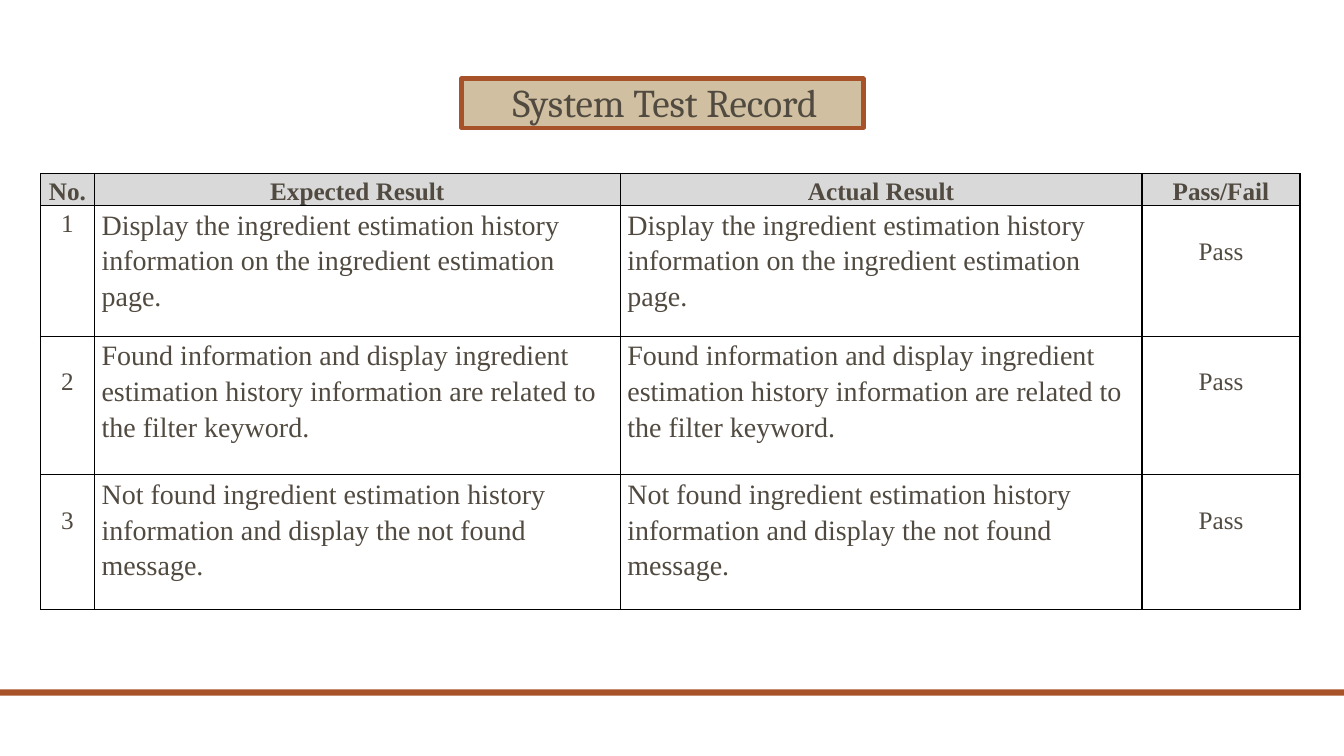
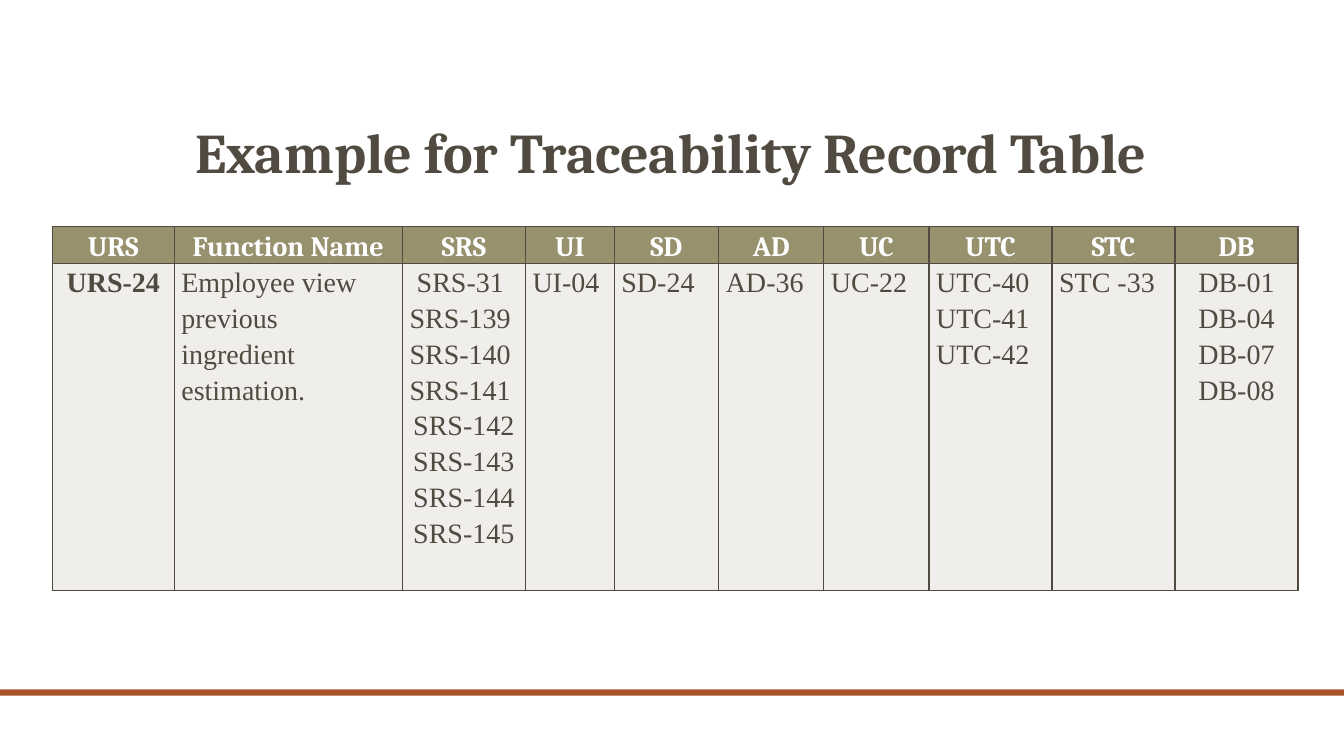
from dataclasses import dataclass

from lxml.etree import SubElement as Sub
from pptx import Presentation as Deck
from pptx.dml.color import RGBColor as Rgb
from pptx.enum.shapes import MSO_SHAPE as Kind
from pptx.enum.text import MSO_ANCHOR as Anchor, PP_ALIGN as Align
from pptx.oxml.ns import qn
from pptx.slide import Slide
from pptx.util import Cm, Pt


@dataclass(frozen=True)
class Theme:
    ink: str = "514A40"
    rust: str = "A85229"
    sand: str = "D0C0A1"
    olive: str = "98916E"
    pale: str = "EFEEEB"
    gray: str = "D9D9D9"
    white: str = "FFFFFF"
    black: str = "000000"
    head: str = "Cambria"
    body: str = "Times New Roman"
    small: int = 18
    text: int = 20
    label: int = 28
    title: int = 40


THEME = Theme()


@dataclass(frozen=True)
class Style:
    size: int = THEME.text
    font: str = THEME.body
    color: str = THEME.ink
    bold: bool = False


@dataclass(frozen=True)
class Box:
    left: float
    top: float
    width: float
    height: float

    def place(self) -> tuple:
        return Cm(self.left), Cm(self.top), Cm(self.width), Cm(self.height)


@dataclass(frozen=True)
class Item:
    lines: tuple[str, ...]
    style: Style = Style()
    aligns: tuple = (Align.LEFT,)
    fill: str | None = None
    drop: float = 0


@dataclass(frozen=True)
class Grid:
    left: float
    top: float
    cols: tuple[float, ...]
    rows: tuple[float, ...]
    edge: str
    items: list[list[Item]]


def write(frame, lines: tuple[str, ...], style: Style, aligns: tuple, gap: float) -> None:
    frame.text = "\n".join(lines)
    for spot, para in enumerate(frame.paragraphs):
        para.alignment = aligns[min(spot, len(aligns) - 1)]
        para.line_spacing = gap
        for run in para.runs:
            run.font.size = Pt(style.size)
            run.font.name = style.font
            run.font.bold = style.bold
            run.font.color.rgb = Rgb.from_string(style.color)


def add_page(deck, title: str, box: Box, style: Style, drop: float) -> Slide:
    page = deck.slides.add_slide(deck.slide_layouts[5])
    shape = page.shapes.title
    shape.left, shape.top, shape.width, shape.height = box.place()
    frame = shape.text_frame
    write(frame, (title,), style, (Align.CENTER,), 0.9)
    frame.vertical_anchor = Anchor.TOP
    frame.margin_left, frame.margin_top = Cm(0.38), Cm(drop)
    return page


def add_band(deck, page: Slide) -> None:
    band = page.shapes.add_shape(Kind.RECTANGLE, 0, Cm(17.37), deck.slide_width, Cm(0.16))
    band.shadow.inherit = False
    band.fill.solid()
    band.fill.fore_color.rgb = Rgb.from_string(THEME.rust)
    band.line.fill.background()
    deck.slide_master.shapes.element.append(band.element)


def add_edge(cell, color: str) -> None:
    props = cell._tc.get_or_add_tcPr()
    for side in ("lnL", "lnR", "lnT", "lnB"):
        line = Sub(props, qn(f"a:{side}"), w=str(Pt(1)))
        Sub(Sub(line, qn("a:solidFill")), qn("a:srgbClr"), val=color)


def add_grid(page: Slide, grid: Grid) -> None:
    box = Box(grid.left, grid.top, sum(grid.cols), sum(grid.rows))
    table = page.shapes.add_table(len(grid.rows), len(grid.cols), *box.place()).table
    table.horz_banding = False
    for col, width in zip(table.columns, grid.cols):
        col.width = Cm(width)
    for row, height, items in zip(table.rows, grid.rows, grid.items):
        row.height = Cm(height)
        for cell, item in zip(row.cells, items):
            cell.margin_left = cell.margin_right = Cm(0.18)
            cell.margin_top, cell.margin_bottom = Cm(item.drop), 0
            write(cell.text_frame, item.lines, item.style, item.aligns, 1.15)
            add_edge(cell, grid.edge)
            if item.fill:
                cell.fill.solid()
                cell.fill.fore_color.rgb = Rgb.from_string(item.fill)
            else:
                cell.fill.background()


def heads(names: tuple[str, ...], style: Style, fill: str) -> list[Item]:
    return [Item((name,), style, (Align.CENTER,), fill) for name in names]


def test_row(num: int, result: str, drop: float) -> list[Item]:
    small, mid = Style(THEME.small), (Align.CENTER,)
    return [
        Item((str(num),), small, mid, drop=drop),
        Item((result,)),
        Item((result,)),
        Item(("Pass",), small, mid, drop=0.71),
    ]


def trace_row() -> list[Item]:
    mid, left = Align.CENTER, Align.LEFT
    cells = (
        (("URS-24",), (mid,)),
        (("Employee view previous ingredient estimation.",), (left,)),
        (
            ("SRS-31 ", "SRS-139", "SRS-140", "SRS-141", "SRS-142", "SRS-143 SRS-144 SRS-145"),
            (mid, left, left, left, mid),
        ),
        (("UI-04",), (left,)),
        (("SD-24",), (left,)),
        (("AD-36",), (left,)),
        (("UC-22",), (left,)),
        (("UTC-40", "UTC-41", "UTC-42"), (left,)),
        (("STC -33",), (left,)),
        (("DB-01", "DB-04", "DB-07", "DB-08"), (mid,)),
    )
    return [
        Item(lines, Style(bold=spot == 0), aligns, THEME.pale)
        for spot, (lines, aligns) in enumerate(cells)
    ]


def test_page(deck) -> Slide:
    style = Style(THEME.label, THEME.head)
    page = add_page(deck, "System Test Record", Box(11.63, 1.98, 10.13, 1.24), style, 0.13)
    title = page.shapes.title
    title.fill.solid()
    title.fill.fore_color.rgb = Rgb.from_string(THEME.sand)
    title.line.color.rgb = Rgb.from_string(THEME.rust)
    title.line.width = Pt(3)
    names = ("No.", "Expected Result", "Actual Result", "Pass/Fail")
    results = (
        "Display the ingredient estimation history information on the ingredient estimation page.",
        "Found information and display ingredient estimation history information are related to the filter keyword.",
        "Not found ingredient estimation history information and display the not found message.",
    )
    items = [heads(names, Style(THEME.small, bold=True), THEME.gray)]
    for num, result in enumerate(results, 1):
        items.append(test_row(num, result, 0 if num == 1 else 0.71))
    cols, rows = (1.36, 13.25, 13.15, 3.98), (0.81, 3.29, 3.49, 3.39)
    add_grid(page, Grid(1.02, 4.37, cols, rows, THEME.black, items))
    return page


def trace_page(deck) -> None:
    style = Style(THEME.title, THEME.head, bold=True)
    box = Box(1.45, 2.92, 30.78, 2.18)
    page = add_page(deck, "Example for Traceability Record Table", box, style, 0.23)
    names = ("URS", "Function Name", "SRS", "UI", "SD", "AD", "UC", "UTC", "STC", "DB")
    top = heads(names, Style(THEME.text, THEME.head, THEME.white, True), THEME.olive)
    cols = (3.07, 5.75, 3.1, 2.24, 2.63, 2.65, 2.65, 3.1, 3.1, 3.1)
    add_grid(page, Grid(1.32, 5.7, cols, (0.93, 8.25), THEME.ink, [top, trace_row()]))


def main() -> None:
    deck = Deck()
    deck.slide_width, deck.slide_height = Cm(33.87), Cm(19.05)
    add_band(deck, test_page(deck))
    trace_page(deck)
    deck.save("out.pptx")


if __name__ == "__main__":
    main()
